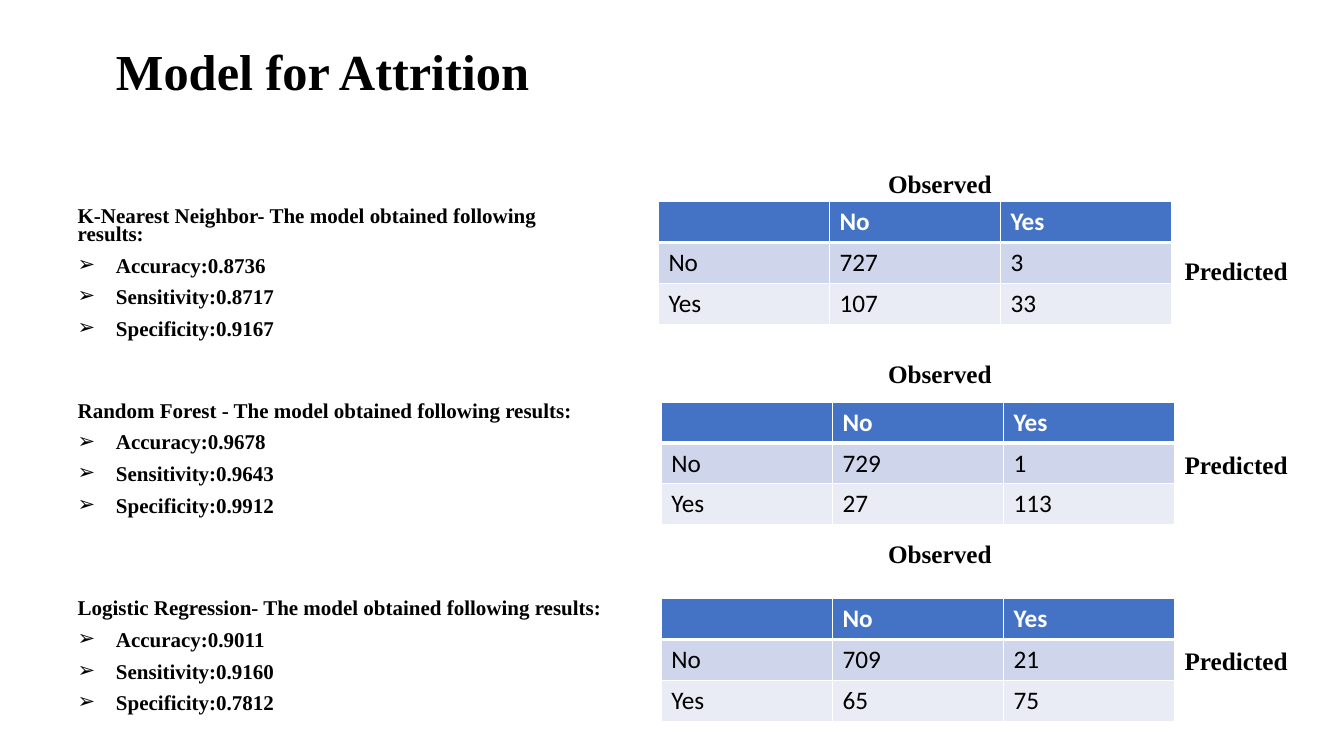
from lxml.etree import SubElement
from pptx import Presentation
from pptx.dml.color import RGBColor
from pptx.enum.text import MSO_ANCHOR, MSO_AUTO_SIZE, PP_ALIGN
from pptx.oxml.ns import qn
from pptx.util import Inches, Pt

BLACK = RGBColor(0x00, 0x00, 0x00)
WHITE = RGBColor(0xFF, 0xFF, 0xFF)
HEADER_BLUE = RGBColor(0x44, 0x72, 0xC4)
ROW_FILLS = [HEADER_BLUE, RGBColor(0xCF, 0xD5, 0xEA), RGBColor(0xE9, 0xEB, 0xF5)]
SERIF = "Times New Roman"
INDENT = Inches(0.38)

deck = Presentation()
deck.slide_width = Inches(13.33)
deck.slide_height = Inches(7.5)
slide = deck.slides.add_slide(deck.slide_layouts.get_by_name("Comparison"))


def share(left, top, width, height):
    across, down = deck.slide_width / 100, deck.slide_height / 100
    return [round(length) for length in (left * across, top * down, width * across, height * down)]


def add_span(para, text, size, font=SERIF, color=BLACK, bold=True):
    span = para.add_run()
    span.text = text
    span.font.size = Pt(size)
    span.font.name = font
    span.font.color.rgb = color
    span.font.bold = bold


title, *bodies = slide.placeholders
title.left, title.top, title.width, title.height = share(7.88, 0, 87.7, 14.13)
title.text_frame.vertical_anchor = MSO_ANCHOR.BOTTOM
title.text_frame.auto_size = MSO_AUTO_SIZE.NONE
para = title.text_frame.paragraphs[0]
para.alignment = PP_ALIGN.LEFT
para.line_spacing = 0.9
add_span(para, "Model for Attrition", 36)

spare = bodies.pop()
spare.element.getparent().remove(spare.element)

models = [
    ("K-Nearest Neighbor-", ["0.8736", "0.8717", "0.9167"], [["727", "3"], ["107", "33"]]),
    ("Random Forest -", ["0.9678", "0.9643", "0.9912"], [["729", "1"], ["27", "113"]]),
    ("Logistic Regression-", ["0.9011", "0.9160", "0.7812"], [["709", "21"], ["65", "75"]]),
]
list_tops = [27.07, 52.8, 78.93]
table_corners = [(48.99, 26.67), (49.21, 53.2), (49.21, 79.2)]
observed_tops = [21.6, 46.8, 70.53]
predicted_tops = [33.07, 58.8, 84.67]

for body, (model, scores, counts), list_top, corner, observed_top, predicted_top in zip(
    bodies, models, list_tops, table_corners, observed_tops, predicted_tops
):
    body.left, body.top, body.width, body.height = share(5.03, list_top, 40.81, 18.93)
    frame = body.text_frame
    frame.vertical_anchor = MSO_ANCHOR.TOP
    frame.auto_size = MSO_AUTO_SIZE.NONE
    lines = [f"{model} The model obtained following results:"]
    lines += [f"{name}:{score}" for name, score in zip(["Accuracy", "Sensitivity", "Specificity"], scores)]
    for number, line in enumerate(lines):
        para = frame.add_paragraph() if number else frame.paragraphs[0]
        para.line_spacing = 0.7
        para.space_before = Pt(10)
        props = para._p.get_or_add_pPr()
        props.set("marL", str(INDENT if number else 0))
        props.set("indent", str(-INDENT if number else 0))
        if number:
            SubElement(props, qn("a:buChar"), char="➢")
        else:
            SubElement(props, qn("a:buNone"))
        add_span(para, line, 15)

    table = slide.shapes.add_table(3, 3, *share(*corner, 38.18, 16.22)).table
    rows = [["", "No", "Yes"], ["No", *counts[0]], ["Yes", *counts[1]]]
    for row, (texts, fill) in enumerate(zip(rows, ROW_FILLS)):
        for column, text in enumerate(texts):
            cell = table.cell(row, column)
            props = cell._tc.get_or_add_tcPr()
            for side in ["L", "R", "T", "B"]:
                thick = (row, side) in [(0, "B"), (1, "T")]
                line = SubElement(props, qn(f"a:ln{side}"), w=str(Pt(3 if thick else 1)))
                SubElement(SubElement(line, qn("a:solidFill")), qn("a:srgbClr"), val=str(WHITE))
            cell.fill.solid()
            cell.fill.fore_color.rgb = fill
            if text:
                color = BLACK if row else WHITE
                add_span(cell.text_frame.paragraphs[0], text, 18, "Calibri", color, row == 0)

    for label, left, top in [("Observed", 65.34, observed_top), ("Predicted", 87.4, predicted_top)]:
        box = slide.shapes.add_textbox(*share(left, top, 9.3, 5.33))
        box.text_frame.word_wrap = False
        box.text_frame.auto_size = MSO_AUTO_SIZE.SHAPE_TO_FIT_TEXT
        add_span(box.text_frame.paragraphs[0], label, 18)

deck.save("out.pptx")
